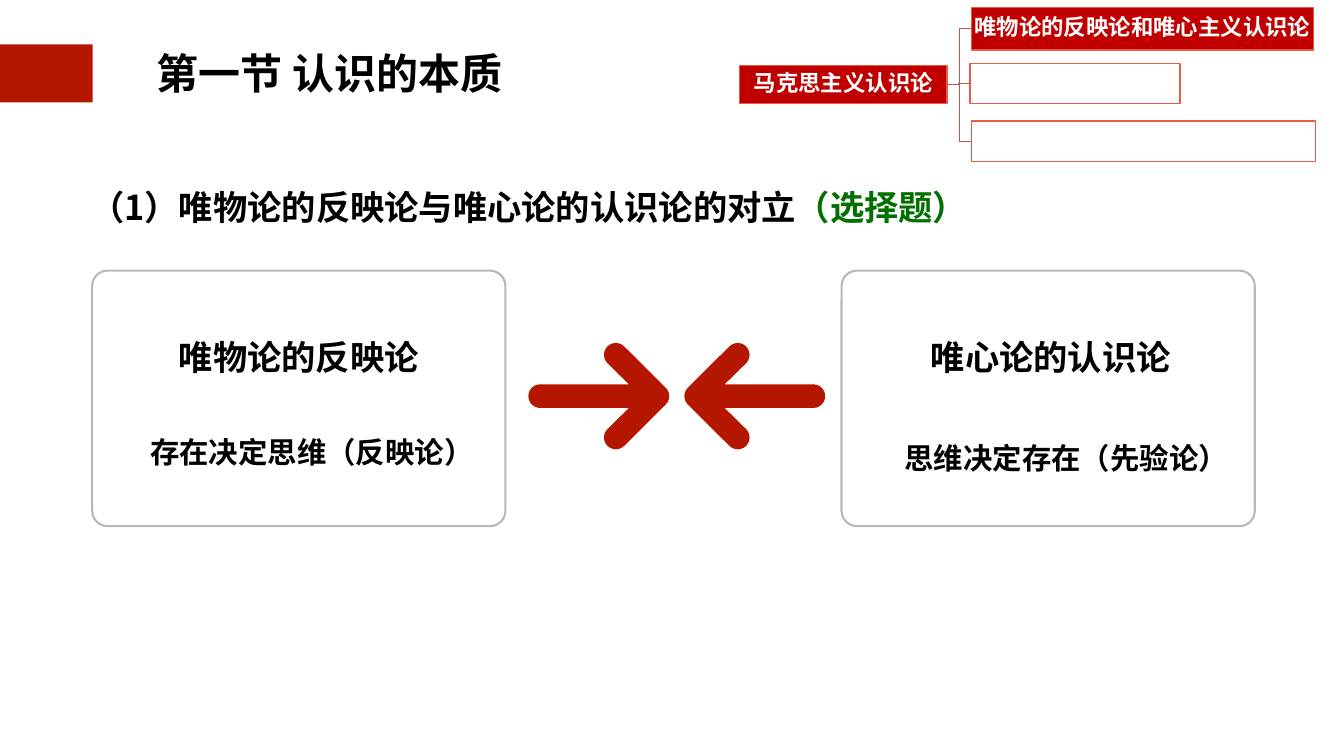
from math import cos, radians, sin
from lxml import etree
from pptx import Presentation
from pptx.dml.color import RGBColor
from pptx.enum.shapes import MSO_CONNECTOR, MSO_SHAPE
from pptx.enum.text import MSO_ANCHOR, MSO_AUTO_SIZE, PP_ALIGN
from pptx.oxml.ns import qn
from pptx.util import Inches, Pt

RECT, ROUND = MSO_SHAPE.RECTANGLE, MSO_SHAPE.ROUNDED_RECTANGLE
LEFT, CENTER = PP_ALIGN.LEFT, PP_ALIGN.CENTER
SANS = "Noto Sans CJK SC"
RED, CRIMSON, CORAL, BRANCH = "B51600", "C00000", "E75B47", "CC503E"
BLACK, WHITE, GREEN = "000000", "FFFFFF", "027001"

TITLE = "第一节 认识的本质"
HEADING = [("（1）唯物论的反映论与唯心论的认识论的对立", BLACK), ("（选择题）", GREEN)]
ROOT = ("马克思主义认识论", (14.68, 1.3, 4.11, 0.76), CRIMSON)
LEAVES = [
    ("唯物论的反映论和唯心主义认识论", (19.28, 0.15, 6.78, 0.84), CRIMSON),
    ("", (19.25, 1.26, 4.17, 0.8), WHITE),
    ("", (19.28, 2.4, 6.83, 0.81), WHITE),
]
# card left, name and its left, claim and its box
CARDS = [
    (1.83, "唯物论的反映论", 3.47, "存在决定思维（反映论）", (2.92, 8.26, 7.56, 1.05)),
    (16.7, "唯心论的认识论", 18.39, "思维决定存在（先验论）", (17.89, 8.38, 7.37, 1.05)),
]
ARROWS = [(13.28, 1), (13.58, -1)]  # tip and direction
MID = 7.86

deck = Presentation()
deck.slide_width, deck.slide_height = Inches(26.67), Inches(15)
slide = deck.slides.add_slide(deck.slide_layouts[5])
shapes = slide.shapes


def color(code):
    return RGBColor.from_string(code)


def place(shape, box):
    for name, val in zip(("left", "top", "width", "height"), box):
        setattr(shape, name, Inches(val))


def write(shape, runs, size, face=SANS, align=CENTER, wrap=True, inset=0.06, gap=1):
    frame = shape.text_frame
    look = {"word_wrap": wrap, "auto_size": MSO_AUTO_SIZE.NONE,
            "vertical_anchor": MSO_ANCHOR.MIDDLE}
    for side in ("left", "top", "right", "bottom"):
        look["margin_" + side] = Inches(inset)
    for name, val in look.items():
        setattr(frame, name, val)
    para = frame.paragraphs[0]
    para.alignment, para.line_spacing = align, gap
    for text, code in runs:
        run = para.add_run()
        run.text = text
        for name, val in {"size": Pt(size), "bold": True, "name": face}.items():
            setattr(run.font, name, val)
        run.font.color.rgb = color(code)
        east = etree.SubElement(run.font._element, qn("a:ea"))
        east.set("typeface", SANS)


def label(box, runs, size, **look):
    write(shapes.add_textbox(*map(Inches, box)), runs, size, **look)


def paint(shape, fill=None, line=None, width=2):
    shape.shadow.inherit = False
    if fill:
        shape.fill.solid()
        shape.fill.fore_color.rgb = color(fill)
    else:
        shape.fill.background()
    if line:
        shape.line.color.rgb = color(line)
        shape.line.width = Pt(width)
    else:
        shape.line.fill.background()


def block(kind, box, **look):
    shape = shapes.add_shape(kind, *map(Inches, box))
    paint(shape, **look)
    return shape


def node(text, box, fill):
    shape = block(RECT, box, fill=fill, line=CORAL)
    if text:
        write(shape, [(text, WHITE)], 32, face="Arial", inset=0.02, gap=0.9)
    return shape


def branch(start, end):
    line = shapes.add_connector(MSO_CONNECTOR.ELBOW, 0, 0, 0, 0)
    line.begin_connect(start, 3)
    line.end_connect(end, 1)
    line.line.color.rgb = color(BRANCH)
    line.line.width = Pt(2)
    etree.SubElement(line._element.spPr, qn("a:effectLst"))


def arc(x, y, start, stop, r=0.235):
    turns = [radians(a) for a in range(start, stop + 1, 15)]
    return [(x + r * cos(a), y + r * sin(a)) for a in turns]


def arrow(tip, way):
    """Round-ended arrow; offsets run back from the tip at the origin."""
    points = (arc(-2.56, 0, 90, 270) + [(-0.8, -0.235)]
              + arc(-1.06, -0.82, 135, 315) + arc(-0.235, 0, -45, 45)
              + arc(-1.06, 0.82, 45, 225) + [(-0.8, 0.235)])
    spots = [(Inches(tip + way * x), Inches(MID + y)) for x, y in points]
    pen = shapes.build_freeform(*spots[0])
    pen.add_line_segments(spots[1:], close=True)
    paint(pen.convert_to_shape(), fill=RED)


block(RECT, (-0.03, 0.88, 1.87, 1.15), fill=RED)
place(shapes.title, (3.03, 0.81, 7.02, 1.28))
write(shapes.title, [(TITLE, BLACK)], 60, face="Arial", wrap=False)
label((1.63, 3.63, 17.72, 0.94), HEADING, 49)

for left, name, start, claim, box in CARDS:
    card = block(ROUND, (left, 5.37, 8.2, 5.07), line=BLACK, width=3)
    card.adjustments[0] = 0.06
    tint = card.line.fill._xPr.find(".//" + qn("a:srgbClr"))
    etree.SubElement(tint, qn("a:alpha")).set("val", "28000")
    label((start, 6.61, 4.92, 0.94), [(name, BLACK)], 49, wrap=False)
    label(box, [(claim, BLACK)], 42, align=LEFT, gap=1.5)

for tip, way in ARROWS:
    arrow(tip, way)

root = node(*ROOT)
for leaf in LEAVES:
    branch(root, node(*leaf))

deck.save("out.pptx")
